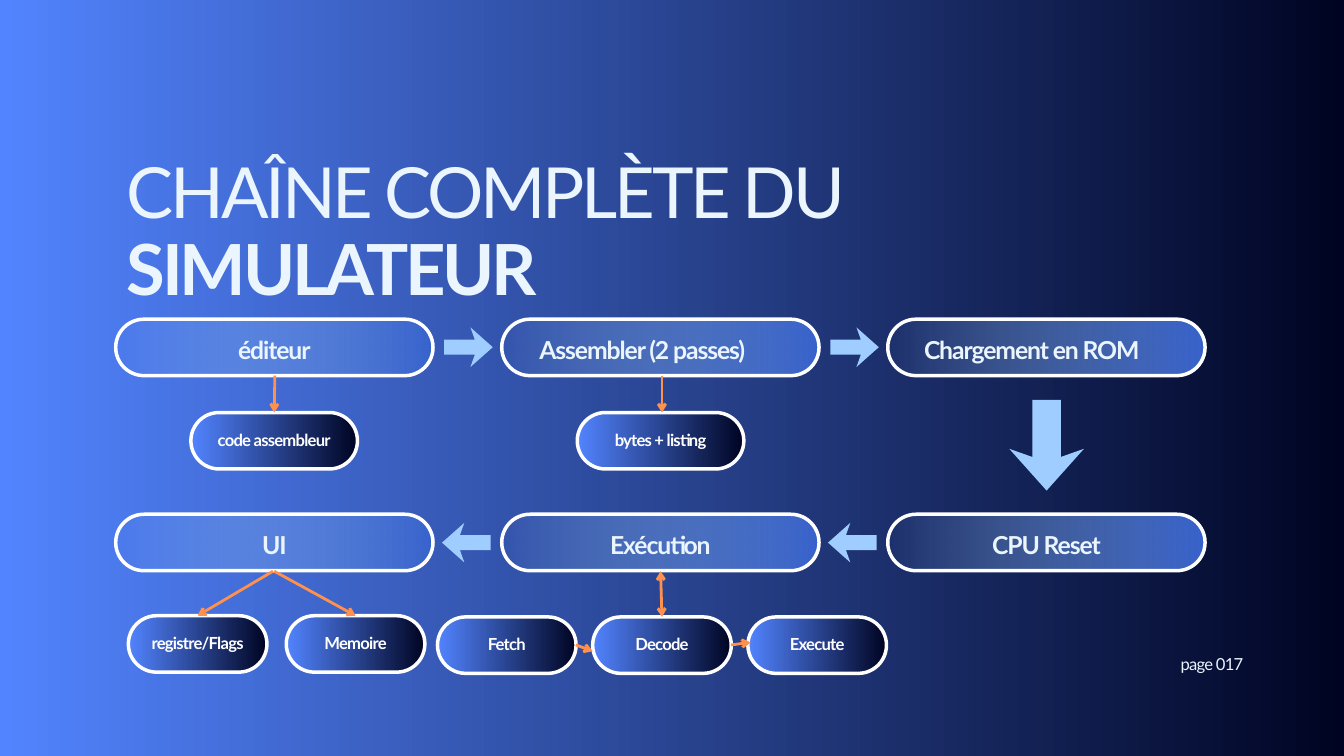
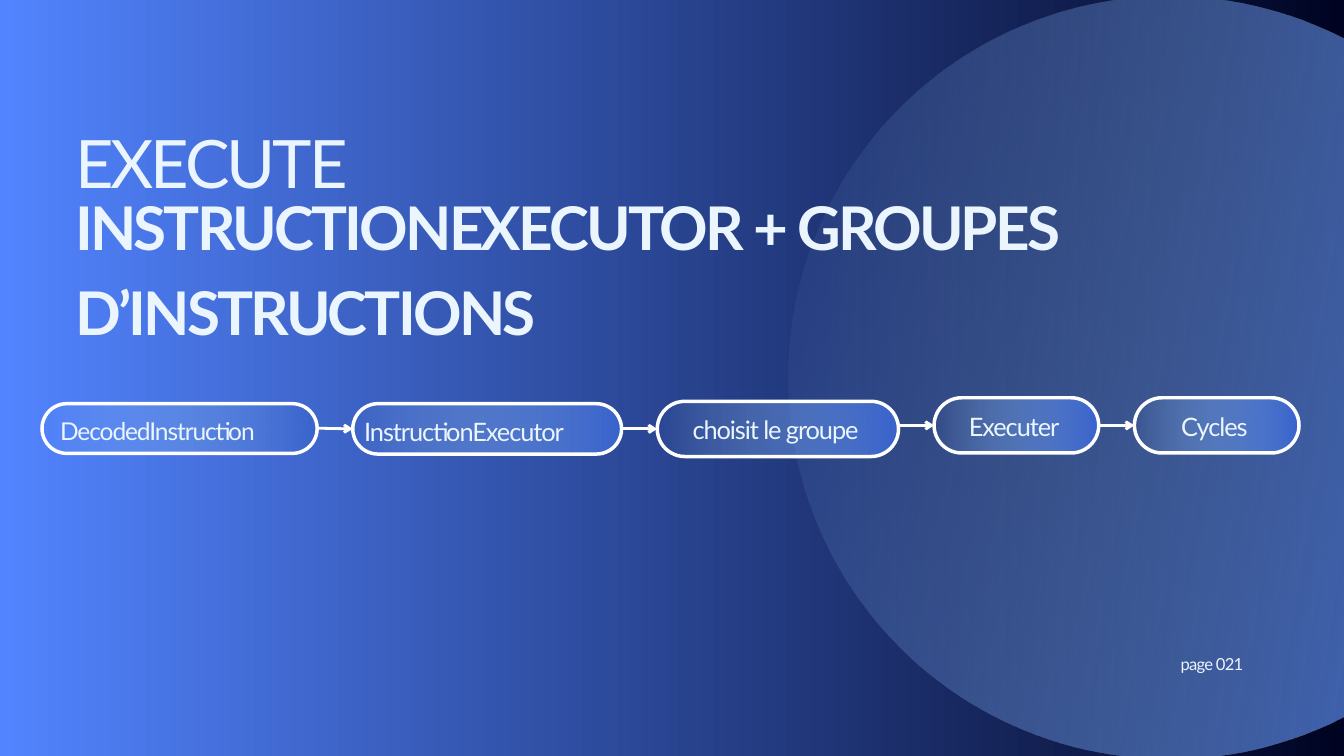
import pptx
import pptx.util
import pptx.dml.color
import pptx.enum.shapes
import pptx.enum.text
import pptx.oxml.ns
from lxml import etree

Pt = pptx.util.Pt
qn = pptx.oxml.ns.qn
SHAPE = pptx.enum.shapes.MSO_SHAPE
ALIGN = pptx.enum.text.PP_ALIGN
ANCHOR = pptx.enum.text.MSO_ANCHOR

FONT = "Lato"
COLORS = {
    "blue": "5284FF",
    "navy": "000422",
    "sky": "9FCDFF",
    "royal": "3964CD",
    "ice": "EBF5FE",
    "white": "FFFFFF",
    "orange": "FF914D",
}

# Text styles: size, line spacing, letter spacing, bold, colour
STEP = dict(size=26.5, leading=37.1, spacing=-1.2, bold=True)
DETAIL = dict(size=17.8, leading=24.9, spacing=-0.8, bold=True, color="white")
STAGE = dict(size=27.2, leading=38.2, spacing=-1.2)
PAGE = dict(size=17.8, leading=24.9, spacing=-0.8)

# Outline of a block arrow: share of its length, share of its width
ARROW = [(0, -0.19), (0.63, -0.19), (0.54, -0.5), (1, 0),
         (0.54, 0.5), (0.63, 0.19), (0, 0.19)]


def rgb(name):
    return pptx.dml.color.RGBColor.from_string(COLORS[name])


def fill_gradient(fill, start, end):
    fill.gradient()
    fill.gradient_angle = 0
    for stop, name, position in zip(fill.gradient_stops, (start, end), (0, 1)):
        stop.color.rgb = rgb(name)
        stop.position = position


def fill_glass(s):
    """Gradient that starts fully transparent."""
    fill_gradient(s.fill, "sky", "royal")
    first_color = s.element.spPr.find(".//" + qn("a:srgbClr"))
    etree.SubElement(first_color, qn("a:alpha"), val="0")


def write(tf, text, size, leading, spacing, bold=False, color="ice",
          align=ALIGN.LEFT, anchor=ANCHOR.TOP, insets=(0, 0, 0, 0)):
    tf.word_wrap = True
    tf.auto_size = pptx.enum.text.MSO_AUTO_SIZE.NONE
    tf.vertical_anchor = anchor
    tf.margin_left, tf.margin_top, tf.margin_right, tf.margin_bottom = map(Pt, insets)
    tf.text = text
    p = tf.paragraphs[0]
    p.alignment = align
    p.line_spacing = Pt(leading)
    r = p.runs[0]
    r.font.name = FONT
    r.font.size = Pt(size)
    r.font.bold = bold
    r.font.color.rgb = rgb(color)
    r.font._element.set("spc", str(round(spacing * 100)))


def add_text(slide, x, y, w, h, text, **style):
    s = slide.shapes.add_textbox(Pt(x), Pt(y), Pt(w), Pt(h))
    write(s.text_frame, text, **style)


def add_titled_slide(prs, title, x, y, w, h, page, **style):
    slide = prs.slides.add_slide(prs.slide_layouts[5])
    s = slide.shapes.title
    s.left, s.top, s.width, s.height = Pt(x), Pt(y), Pt(w), Pt(h)
    write(s.text_frame, title, **style)
    add_text(slide, 1265, 697.5, 94, 24, page, **PAGE)
    return slide


def add_pill(slide, x, y, w, h, text, glass=True, **style):
    s = slide.shapes.add_shape(SHAPE.ROUNDED_RECTANGLE, Pt(x), Pt(y), Pt(w), Pt(h))
    s.adjustments[0] = 0.5
    s.shadow.inherit = False
    if glass:
        fill_glass(s)
    else:
        fill_gradient(s.fill, "blue", "navy")
    s.line.color.rgb = rgb("white")
    s.line.width = Pt(3.75)
    write(s.text_frame, text, anchor=ANCHOR.MIDDLE, **style)


def add_detail(slide, x, y, w, text):
    add_pill(slide, x, y, w, 60.5, text, glass=False, align=ALIGN.CENTER,
             insets=(0, 0, 0, 6), **DETAIL)


def add_block_arrow(slide, x, y, dx, dy, length=52, width=42.5):
    """Arrow whose tail is centred on (x, y) and points along (dx, dy)."""
    points = [(Pt(x + a * length * dx - b * width * dy),
               Pt(y + a * length * dy + b * width * dx)) for a, b in ARROW]
    builder = slide.shapes.build_freeform(*points[0])
    builder.add_line_segments(points[1:], close=True)
    s = builder.convert_to_shape()
    s.shadow.inherit = False
    s.fill.solid()
    s.fill.fore_color.rgb = rgb("sky")
    s.line.fill.background()


def add_link(slide, x1, y1, x2, y2, color="orange", ends=("tailEnd",)):
    c = slide.shapes.add_connector(pptx.enum.shapes.MSO_CONNECTOR.STRAIGHT,
                                   Pt(x1), Pt(y1), Pt(x2), Pt(y2))
    c.line.color.rgb = rgb(color)
    c.line.width = Pt(3)
    ln = c.line._get_or_add_ln()
    for end in ends:
        etree.SubElement(ln, qn("a:" + end), type="arrow")
    etree.SubElement(c.element.spPr, qn("a:effectLst"))


def build_chain(prs):
    heading = dict(size=75.5, leading=105.7, spacing=-3.5)
    slide = add_titled_slide(prs, "CHAÎNE COMPLÈTE DU", 136, 144, 857, 101.5,
                             "page 017", **heading)
    add_text(slide, 136, 225.5, 541.5, 101.5, "SIMULATEUR", bold=True, **heading)

    # Main steps on a grid: rows of (label, left inset or None when centred)
    rows = [
        (342, [("éditeur", None), ("Assembler (2 passes)", 31.5),
               ("Chargement en ROM", 30)]),
        (551, [("UI", None), ("Exécution", None), ("CPU Reset", None)]),
    ]
    for y, steps in rows:
        for col, (label, inset) in enumerate(steps):
            align = ALIGN.CENTER if inset is None else ALIGN.LEFT
            add_pill(slide, 124 + 413.6 * col, y, 340, 60.5, label, align=align,
                     insets=(inset or 0, 0, 0, 0), **STEP)

    # Block arrows: right, down, then left
    for gap in range(2):
        add_block_arrow(slide, 476 + 413.6 * gap, 372, 1, 0)
        add_block_arrow(slide, 525.6 + 413.6 * gap, 581.4, -1, 0)
    add_block_arrow(slide, 1121.4, 428.4, 0, 1, length=97.2, width=80)

    # Details under the steps
    for x, label in [(204.5, "code assembleur"), (618.5, "bytes + listing")]:
        add_detail(slide, x, 442, 178.5, label)
    for x, label in [(137.5, "registre/Flags"), (306.7, "Memoire")]:
        add_detail(slide, x, 659.7, 148.5, label)
    for i, label in enumerate(["Fetch", "Decode", "Execute"]):
        add_detail(slide, 468.7 + 166.3 * i, 661, 148.5, label)

    # Links from steps to details
    for link in [(294.5, 402.5, 293.8, 442), (709.2, 402.5, 709.2, 442),
                 (292.5, 612, 211.7, 659.7), (293.8, 612, 381, 659.7),
                 (617, 691, 635, 697.7), (783.4, 691, 804.2, 688.3)]:
        add_link(slide, *link)
    add_link(slide, 709.2, 661, 707.8, 612, ends=("headEnd", "tailEnd"))


def build_execute(prs):
    slide = add_titled_slide(prs, "EXECUTE", 80.6, 116, 1359, 96, "page 021",
                             size=71.5, leading=100.1, spacing=-3.3)
    add_text(slide, 80.6, 191.5, 1317.6, 177,
             "INSTRUCTIONEXECUTOR + GROUPES D’INSTRUCTIONS",
             size=64.5, leading=90.3, spacing=-3, bold=True)

    # Large disc behind everything
    disc = slide.shapes.add_shape(SHAPE.OVAL, Pt(845.3), Pt(-3.6), Pt(816.5), Pt(816.5))
    disc.rotation = 9.1
    disc.shadow.inherit = False
    fill_glass(disc)
    disc.line.fill.background()
    slide.shapes._spTree.insert(2, disc.element)

    # Stages from left to right
    first = dict(STAGE, size=26.3, leading=36.8, insets=(11.6, 0, 0, 0))
    second = dict(STAGE, insets=(4.3, 0, 0, 0))
    centred = dict(STAGE, align=ALIGN.CENTER, insets=(0, 0, 5, 4))
    stages = [
        (45, 432.5, 294.8, 53.3, "DecodedInstruction", first),
        (378, 432.5, 288, 54, "InstructionExecutor", second),
        (704.2, 430, 258.5, 59.2, "choisit le groupe", centred),
        (1000.8, 426.2, 176.4, 59.2, "Executer", centred),
        (1215.4, 426.2, 176.4, 59.2, "Cycles", centred),
    ]
    for x, y, w, h, label, style in stages:
        add_pill(slide, x, y, w, h, label, **style)

    # Links across the gaps
    heights = [(458.8, 459.5), (459.5, 459.5), (455.8, 455.8), (455.8, 455.8)]
    for left, right, (y1, y2) in zip(stages, stages[1:], heights):
        add_link(slide, left[0] + left[2], y1, right[0], y2, color="white")


def main():
    prs = pptx.Presentation()
    prs.slide_width, prs.slide_height = Pt(1440), Pt(810)
    fill_gradient(prs.slide_master.background.fill, "blue", "navy")
    build_chain(prs)
    build_execute(prs)
    prs.save("out.pptx")


if __name__ == "__main__":
    main()
